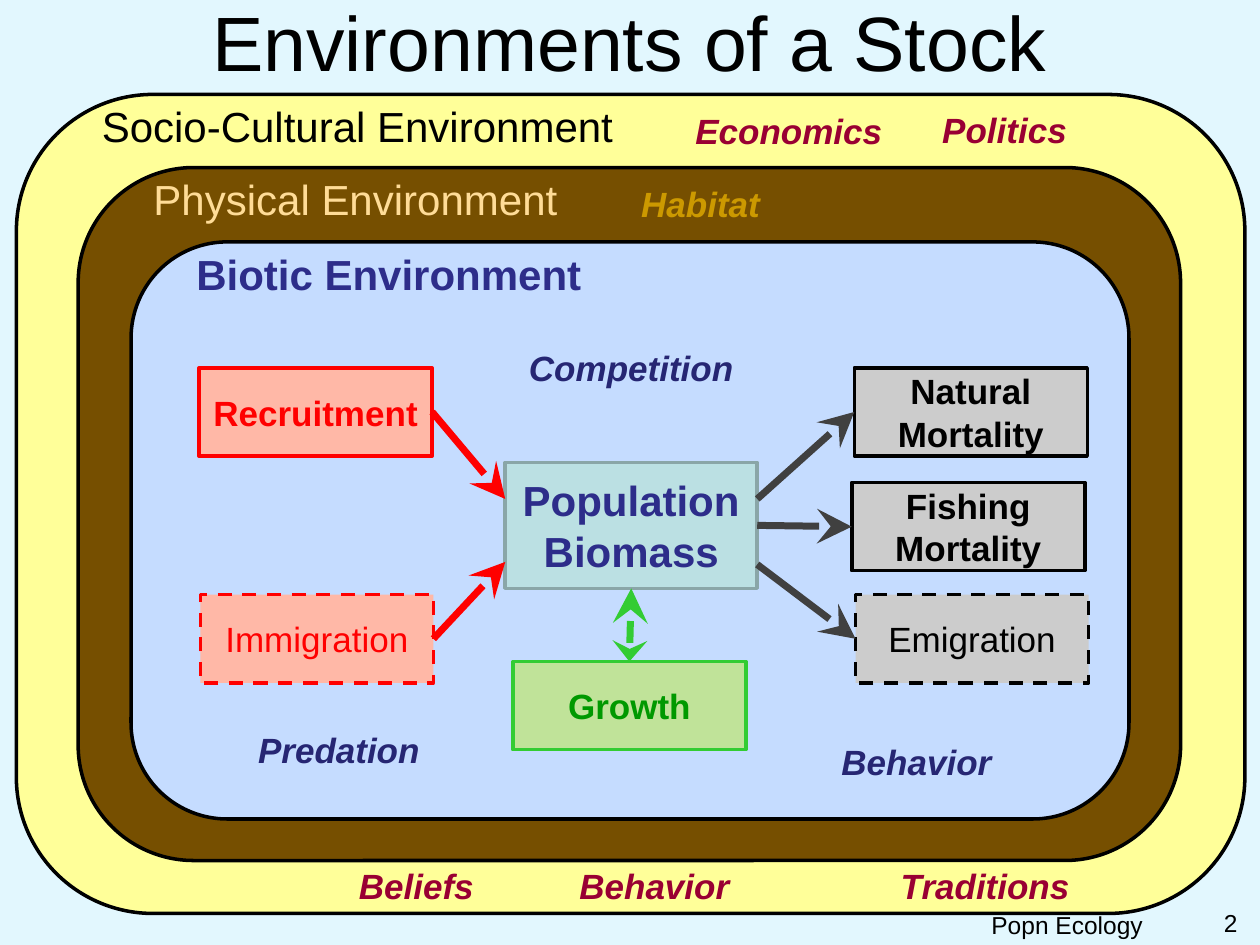
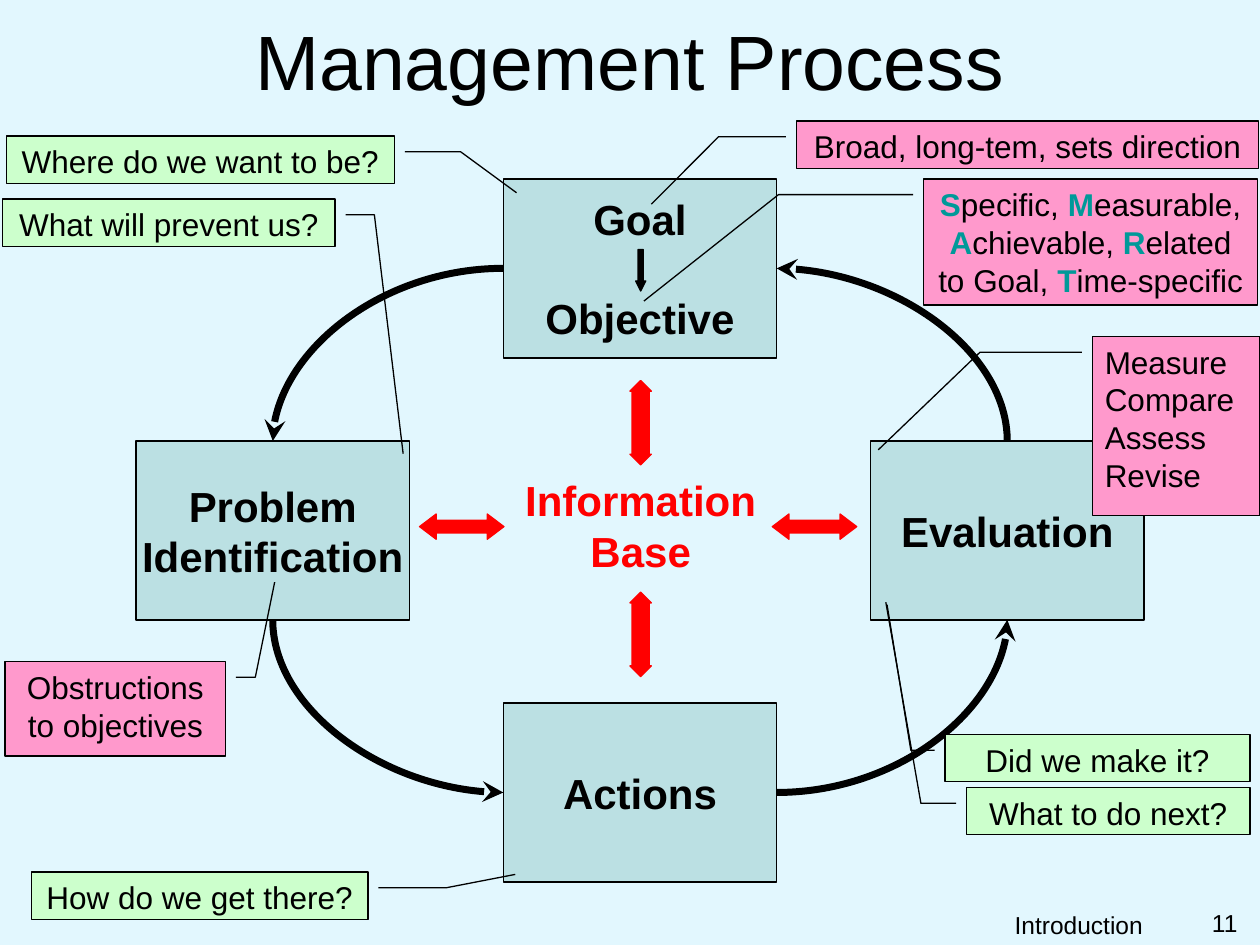
from itertools import groupby
from typing import NamedTuple

from lxml.etree import SubElement
from pptx import Presentation
from pptx.dml.color import RGBColor
from pptx.enum.dml import MSO_LINE
from pptx.enum.shapes import MSO_CONNECTOR, MSO_SHAPE
from pptx.enum.text import MSO_ANCHOR, MSO_AUTO_SIZE, PP_ALIGN
from pptx.oxml.ns import qn
from pptx.util import Emu, Inches, Pt

CELL = Inches(0.1)
COLUMNS, ROWS = 100, 75
FONT = "Arial"
TOP, LEFT, BOTTOM, RIGHT = range(4)

SKY = RGBColor(0xE2, 0xF7, 0xFE)
BLACK = RGBColor(0, 0, 0)
CHARCOAL = RGBColor(0x40, 0x40, 0x40)
GRAY = RGBColor(0xCC, 0xCC, 0xCC)
YELLOW = RGBColor(0xFF, 0xFF, 0x99)
BROWN = RGBColor(0x76, 0x4F, 0x00)
SAND = RGBColor(0xFF, 0xDC, 0x97)
OCHRE = RGBColor(0xCC, 0x99, 0x00)
BLUE = RGBColor(0xC5, 0xDC, 0xFF)
NAVY = RGBColor(0x2D, 0x2D, 0x8A)
DEEP_NAVY = RGBColor(0x26, 0x26, 0x73)
TEAL = RGBColor(0xBB, 0xE0, 0xE3)
TEAL_EDGE = RGBColor(0x8A, 0xA6, 0xA8)
ACCENT_TEAL = RGBColor(0x00, 0x99, 0x99)
RED = RGBColor(0xFF, 0, 0)
SALMON = RGBColor(0xFF, 0xB8, 0xA7)
CRIMSON = RGBColor(0x99, 0x00, 0x33)
GREEN = RGBColor(0x33, 0xCC, 0x33)
DARK_GREEN = RGBColor(0x00, 0x99, 0x00)
LIME = RGBColor(0xC0, 0xE3, 0x99)
PINK = RGBColor(0xFF, 0x99, 0xCC)
MINT = RGBColor(0xCC, 0xFF, 0xCC)


class Box(NamedTuple):
    """A rectangle measured in grid cells."""
    left: float
    top: float
    width: float
    height: float

    def inner(self, column, row, width, height):
        """Return a box placed relative to this one."""
        return Box(self.left + column, self.top + row, width, height)

    def side(self, side):
        """Return the middle of one side."""
        across, down = {TOP: (0.5, 0), LEFT: (0, 0.5), BOTTOM: (0.5, 1), RIGHT: (1, 0.5)}[side]
        return self.left + across * self.width, self.top + down * self.height


PAGE = Box(0, 0, COLUMNS, ROWS)


def cells(*lengths):
    """Convert grid cells to slide units."""
    return [Emu(round(length * CELL)) for length in lengths]


def write(shape, text, size=24, color=BLACK, bold=False, italic=False, align=PP_ALIGN.CENTER,
          anchor=MSO_ANCHOR.MIDDLE, wrap=True, gap=0, accent=""):
    """Fill a shape with formatted lines, highlighting the accent letters."""
    frame = shape.text_frame
    frame.auto_size = MSO_AUTO_SIZE.NONE
    frame.word_wrap = wrap
    frame.vertical_anchor = anchor
    for index, line in enumerate(text.split("\n")):
        paragraph = frame.add_paragraph() if index else frame.paragraphs[0]
        paragraph.alignment = align
        if index and gap:
            paragraph.space_before = Pt(gap)
        for marked, letters in groupby(line, key=lambda letter: letter in accent):
            run = paragraph.add_run()
            run.text = "".join(letters)
            font = run.font
            font.name, font.size, font.italic = FONT, Pt(size), italic
            font.bold = bold or marked
            font.color.rgb = ACCENT_TEAL if marked else color


def label(slide, box, text, **style):
    """Add a free-standing text."""
    settings = dict(align=PP_ALIGN.LEFT, anchor=MSO_ANCHOR.TOP, wrap=False)
    write(slide.shapes.add_textbox(*cells(*box)), text, **{**settings, **style})


def panel(slide, kind, box, fill, edge=BLACK, weight=0.75, dashed=False):
    """Add a filled and outlined preset shape."""
    shape = slide.shapes.add_shape(kind, *cells(*box))
    shape.shadow.inherit = False
    shape.fill.solid()
    shape.fill.fore_color.rgb = fill
    shape.line.color.rgb = edge
    shape.line.width = Pt(weight)
    if dashed:
        shape.line.dash_style = MSO_LINE.DASH
    return shape


def stroke(connector, color, **heads):
    """Colour a connector and give it stealth heads of (width, length)."""
    connector.line.color.rgb = color
    connector.line.width = Pt(4)
    properties = connector._element.spPr
    outline = properties.find(qn("a:ln"))
    for end, (width, length) in heads.items():
        SubElement(outline, qn(f"a:{end}"), type="stealth", w=width, len=length)
    SubElement(properties, qn("a:effectLst"))


def arrow(slide, color, begin, end, begin_joint=None, end_joint=None, **heads):
    """Add a straight arrow, joined to shapes where joints are given."""
    connector = slide.shapes.add_connector(MSO_CONNECTOR.STRAIGHT, *cells(*begin, *end))
    if begin_joint:
        connector.begin_connect(*begin_joint)
    if end_joint:
        connector.end_connect(*end_joint)
    stroke(connector, color, **heads, tailEnd=("lg", "lg"))


def quarter_turn(slide, begin, end, turn):
    """Add a curved arrow bending once, turned by quarter circles."""
    width, height = abs(end[0] - begin[0]), abs(end[1] - begin[1])
    upright = turn % 180 == 90
    if upright:
        width, height = height, width
    left = (begin[0] + end[0] - width) / 2
    top = (begin[1] + end[1] - height) / 2
    connector = slide.shapes.add_connector(
        MSO_CONNECTOR.CURVE, *cells(left, top, left + width, top + height))
    properties = connector._element.spPr
    properties.find(qn("a:prstGeom")).set("prst", "curvedConnector2")
    transform = properties.find(qn("a:xfrm"))
    transform.set("rot", str(turn * 60000))
    transform.set("flipH" if upright else "flipV", "1")
    stroke(connector, BLACK, tailEnd=("med", "med"))


def callout(slide, box, fill, target, text, **style):
    """Add a note whose bent leader runs to a target on the page."""
    note = panel(slide, MSO_SHAPE.LINE_CALLOUT_2, box, fill)
    on_left = target[0] < box.left
    start = box.left - 0.83 if on_left else box.left + box.width + 0.83
    elbow = (start + target[0]) / 2
    leader = [(start, box.top + 1.25), (elbow, box.top + 1.25), target]
    for index, (column, row) in enumerate(leader):
        note.adjustments[2 * index] = (row - box.top) / box.height
        note.adjustments[2 * index + 1] = (column - box.left) / box.width
    write(note, text, size=18, anchor=MSO_ANCHOR.TOP, **style)


def titled_slide(deck, title, title_height, topic, number):
    """Start a slide with its title and footer."""
    slide = deck.slides.add_slide(deck.slide_layouts[5])
    heading = slide.shapes.title
    heading.left, heading.top, heading.width, heading.height = cells(
        *PAGE.inner(0.7, 0, 98.6, title_height))
    write(heading, title, size=44)
    footer = dict(size=14, align=PP_ALIGN.RIGHT, wrap=True)
    label(slide, PAGE.inner(60, 71.7, 31.7, 2.5), topic, **footer)
    label(slide, PAGE.inner(92.5, 71.6, 6.7, 3.4), number, **footer)
    return slide


def environment(slide, box, fill, heading, indent, color, words, word_color, bold=False):
    """Draw one nested environment with its heading and influences."""
    panel(slide, MSO_SHAPE.ROUNDED_RECTANGLE, box, fill, weight=2)
    label(slide, box.inner(indent, 0, 43, 5), heading, color=color, bold=bold)
    for word, column, row, width in words:
        label(slide, box.inner(column, row, width, 4.4), word, size=20, color=word_color,
              bold=True, italic=True)


def stock_flows(slide, region):
    """Draw the population with its gains and losses."""
    population_box = region.inner(29.7, 17.5, 20, 10)
    population = panel(slide, MSO_SHAPE.RECTANGLE, population_box, TEAL, TEAL_EDGE, 2)
    write(population, "Population\nBiomass", color=NAVY, bold=True)

    def factor(text, column, row, fill, edge, color, dashed=False):
        """Add one factor and return its shape and box."""
        box = region.inner(column, row, 18.5, 7)
        shape = panel(slide, MSO_SHAPE.RECTANGLE, box, fill, edge, 2, dashed)
        write(shape, text, size=20, color=color, bold=not dashed)
        return shape, box

    gains = [("Recruitment", 5.4, 10, False, 2.9), ("Immigration", 5.5, 28, True, 7.9)]
    for text, column, row, dashed, port in gains:
        gain, box = factor(text, column, row, SALMON, RED, RED, dashed)
        arrow(slide, RED, box.side(RIGHT), (population_box.left, population_box.top + port),
              begin_joint=(gain, RIGHT))

    losses = [("Natural Mortality", 57.4, 10, False, 2.9),
              ("Fishing Mortality", 57.2, 19.1, False, 5),
              ("Emigration", 57.5, 28, True, 8.1)]
    exit_column = population_box.side(RIGHT)[0]
    for text, column, row, dashed, port in losses:
        loss, box = factor(text, column, row, GRAY, BLACK, BLACK, dashed)
        middle = port == population_box.height / 2
        arrow(slide, CHARCOAL, (exit_column, population_box.top + port), box.side(LEFT),
              begin_joint=(population, RIGHT) if middle else None, end_joint=(loss, LEFT))

    growth, box = factor("Growth", 30.3, 33.3, LIME, GREEN, DARK_GREEN)
    arrow(slide, GREEN, box.side(TOP), population_box.side(BOTTOM), (growth, TOP),
          (population, BOTTOM), headEnd=("lg", "med"))


def environments_slide(deck):
    """Build the slide of nested environments."""
    slide = titled_slide(deck, "Environments of a Stock", 6.5, "Popn Ecology", "2")
    environment(slide, PAGE.inner(1.3, 7.5, 97.5, 65), YELLOW, "Socio-Cultural Environment", 5.8,
                BLACK, [("Economics", 52.9, 0.7, 17), ("Politics", 72.5, 0.6, 12),
                        ("Traditions", 69.2, 60.6, 15.5), ("Behavior", 43.7, 60.6, 14),
                        ("Beliefs", 26.2, 60.6, 11.2)], CRIMSON)
    environment(slide, PAGE.inner(6.2, 13.3, 87.5, 55), BROWN, "Physical Environment", 5,
                SAND, [("Habitat", 43.7, 0.7, 11.5)], OCHRE)
    biotic = PAGE.inner(10.4, 19.2, 79.2, 45.8)
    environment(slide, biotic, BLUE, "Biotic Environment", 4.2, NAVY,
                [("Competition", 30.6, 7.8, 18.4), ("Predation", 9.1, 38.1, 15),
                 ("Behavior", 55.4, 39.1, 14)], DEEP_NAVY, bold=True)
    stock_flows(slide, biotic)


def management_cycle(slide, region):
    """Draw the four stages on a three by three grid, joined by curves."""
    width, height = 21.7, 14.2
    column_step, row_step = (region.width - width) / 2, (region.height - height) / 2
    stages = [("Goal\nObjective", 1, 0), ("Actions", 1, 2),
              ("Problem\nIdentification", 0, 1), ("Evaluation", 2, 1)]
    boxes = []
    for text, column, row in stages:
        box = region.inner(column * column_step, row * row_step, width, height)
        stage = panel(slide, MSO_SHAPE.FLOWCHART_PROCESS, box, TEAL)
        write(stage, text, bold=True, wrap=False, gap=0 if row else 28)
        boxes.append(box)
    goal, actions, problem, evaluation = boxes
    step = panel(slide, MSO_SHAPE.DOWN_ARROW, goal.inner(10.5, 5.6, 0.8, 3.3), BLACK)
    step.adjustments[1] = 1
    quarter_turn(slide, actions.side(RIGHT), evaluation.side(BOTTOM), 0)
    quarter_turn(slide, evaluation.side(TOP), goal.side(RIGHT), 90)
    quarter_turn(slide, goal.side(LEFT), problem.side(TOP), 180)
    quarter_turn(slide, problem.side(BOTTOM), actions.side(LEFT), 270)


def information_base(slide, region):
    """Draw the central text with a double arrow on every side."""
    label(slide, region.inner(7.4, 7, 20.3, 9), "Information\nBase", color=RED, bold=True,
          align=PP_ALIGN.CENTER)
    upright, level = MSO_SHAPE.UP_DOWN_ARROW, MSO_SHAPE.LEFT_RIGHT_ARROW
    exchanges = [(upright, 16.7, 0, 1.7, 6.7, 0.8), (upright, 16.7, 16.8, 1.7, 6.7, 0.8),
                 (level, 0, 10.6, 6.7, 2, 0.66), (level, 28, 10.6, 6.7, 2, 0.66)]
    for kind, column, row, width, height, head in exchanges:
        exchange = panel(slide, kind, region.inner(column, row, width, height), RED, RED)
        exchange.adjustments[0], exchange.adjustments[1] = 0.5, head


def management_slide(deck):
    """Build the slide of the management cycle and its notes."""
    slide = titled_slide(deck, "Management Process", 9.5, "Introduction", "11")
    management_cycle(slide, PAGE.inner(10.8, 14.2, 80, 55.8))
    information_base(slide, PAGE.inner(33.3, 30.2, 34.7, 23.5))
    line = 3.75
    notes = [
        ((63.2, 9.6, 36.7, line), PINK, (51.7, 16.2), "Broad, long-tem, sets direction", {}),
        ((0.4, 52.5, 17.5, 7.5), PINK, (21.8, 46.2), "Obstructions to objectives", {}),
        ((0.5, 10.8, 30.8, line), MINT, (41, 15.3), "Where do we want to be?", {}),
        ((0.2, 15.8, 26.4, line), MINT, (32, 36), "What will prevent us?", {}),
        ((75, 58.3, 24.2, line), MINT, (70.4, 48), "Did we make it?", {}),
        ((86.7, 26.7, 13.3, 14.2), PINK, (69.7, 35.7), "Measure\nCompare\nAssess\nRevise",
         {"align": PP_ALIGN.LEFT}),
        ((76.7, 62.5, 22.5, line), MINT, (70.3, 47.8), "What to do next?", {}),
        ((2.5, 69.2, 26.7, line), MINT, (40.9, 69.4), "How do we get there?", {}),
        ((73.3, 14.2, 26.5, 10), PINK, (51.1, 23.9),
         "Specific, Measurable, Achievable, Related to Goal, Time-specific",
         {"accent": "SMART"}),
    ]
    for place, fill, target, text, style in notes:
        callout(slide, PAGE.inner(*place), fill, target, text, **style)


def main():
    """Build and save the deck."""
    deck = Presentation()
    deck.slide_width, deck.slide_height = cells(COLUMNS, ROWS)
    backdrop = deck.slide_master.background.fill
    backdrop.solid()
    backdrop.fore_color.rgb = SKY
    environments_slide(deck)
    management_slide(deck)
    deck.save("out.pptx")


if __name__ == "__main__":
    main()
